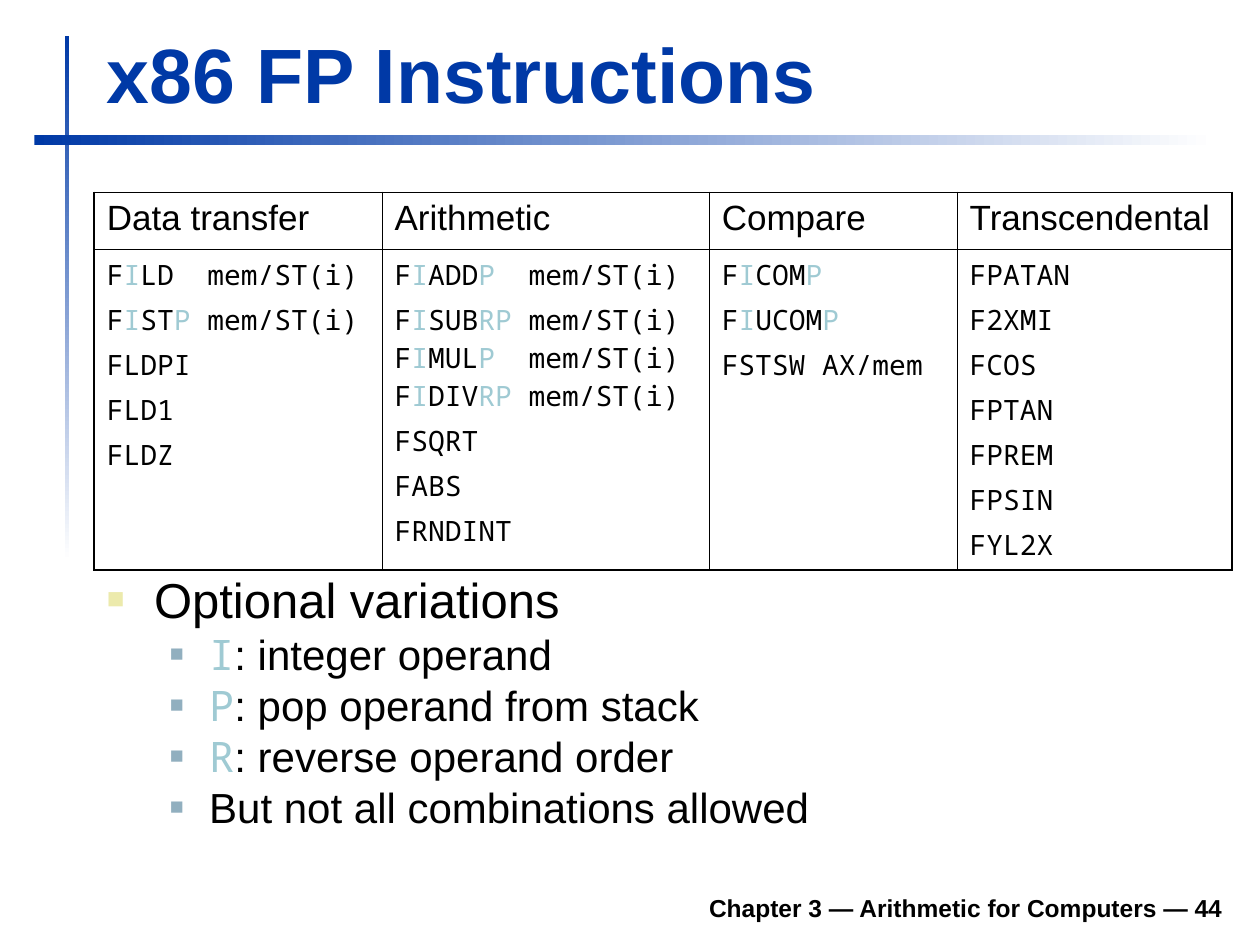
from typing import NamedTuple

from lxml.etree import SubElement as Sub
from pptx import Presentation
from pptx.dml.color import RGBColor
from pptx.enum.shapes import MSO_SHAPE as Kind
from pptx.enum.text import MSO_ANCHOR as Anchor, PP_ALIGN as Align
from pptx.oxml.ns import qn
from pptx.util import Pt

BLUE, BLACK, WHITE, TEAL = "0039A6", "000000", "FFFFFF", "9FCAD3"
SANS, MONO = "Arial", "Noto Sans Mono"


class Bar(NamedTuple):
    left: float
    top: float
    width: float
    height: float
    angle: int


class Bullet(NamedTuple):
    level: int
    size: int
    left: float
    hang: float
    color: str
    scale: int
    before: int


class Column(NamedTuple):
    head: str
    width: float
    codes: list[str]


# Square brackets mark the optional letters
BARS = [Bar(37, 20.4, 2.6, 300, 270), Bar(19.7, 77, 674.6, 5.8, 0)]
MAIN = Bullet(0, 28, 27, 27, "ECEAAC", 60, 7)
ITEM = Bullet(1, 24, 58.5, 22.5, "91AFBF", 55, 6)
NOTES = [
    (MAIN, "Optional variations"),
    (ITEM, "[I]: integer operand"),
    (ITEM, "[P]: pop operand from stack"),
    (ITEM, "[R]: reverse operand order"),
    (ITEM, "But not all combinations allowed"),
]
ROWS = (32.4, 183.4)
COLUMNS = [
    Column("Data transfer", 164.4, [
        "F[I]LD  mem/ST(i)", "F[I]ST[P] mem/ST(i)", "FLDPI", "FLD1", "FLDZ"]),
    Column("Arithmetic", 187, [
        "F[I]ADD[P]  mem/ST(i)",
        "F[I]SUB[RP] mem/ST(i) F[I]MUL[P]  mem/ST(i) F[I]DIV[RP] mem/ST(i)",
        "FSQRT", "FABS", "FRNDINT"]),
    Column("Compare", 141.7, ["F[I]COM[P]", "F[I]UCOM[P]", "FSTSW AX/mem"]),
    Column("Transcendental", 157, [
        "FPATAN", "F2XMI", "FCOS", "FPTAN", "FPREM", "FPSIN", "FYL2X"]),
]


def paint(code: str) -> RGBColor:
    return RGBColor.from_string(code)


def write(par, text: str, *, size: float, font: str = SANS, color: str = BLACK,
          bold: bool = False, align=Align.LEFT, before: float = 0) -> None:
    par.alignment = align
    par.space_before = Pt(before)
    for i, part in enumerate(text.replace("]", "[").split("[")):
        if part:
            run = par.add_run()
            run.text = part
            run.font.size, run.font.bold = Pt(size), bold
            run.font.name = MONO if i % 2 else font
            run.font.color.rgb = paint(TEAL if i % 2 else color)


def add_box(slide, left: float, top: float, width: float, height: float, anchor):
    box = slide.shapes.add_textbox(Pt(left), Pt(top), Pt(width), Pt(height))
    frame = box.text_frame
    frame.word_wrap = True
    frame.vertical_anchor = anchor
    return frame


def next_par(frame, index: int):
    return frame.add_paragraph() if index else frame.paragraphs[0]


def add_bar(slide, bar: Bar) -> None:
    shape = slide.shapes.add_shape(Kind.RECTANGLE, *map(Pt, bar[:4]))
    shape.shadow.inherit = False
    shape.line.fill.background()
    shape.fill.gradient()
    shape.fill.gradient_angle = bar.angle
    for stop, color in zip(shape.fill.gradient_stops, (BLUE, WHITE)):
        stop.color.rgb = paint(color)


def add_mark(par, kind: Bullet) -> None:
    par.level = kind.level
    par.line_spacing = 0.8
    props = par._p.get_or_add_pPr()
    props.set("marL", str(Pt(kind.left)))
    props.set("indent", str(-Pt(kind.hang)))
    Sub(Sub(props, qn("a:buClr")), qn("a:srgbClr"), val=kind.color)
    Sub(props, qn("a:buSzPct"), val=str(kind.scale * 1000))
    Sub(props, qn("a:buFont"), typeface=SANS)
    Sub(props, qn("a:buChar"), char="■")


def add_edges(cell, row: int, col: int) -> None:
    last = len(COLUMNS) - 1
    edges = {
        "lnL": 0.45 if col else 1.08,
        "lnR": 0.45 if col < last else 1.08,
        "lnT": 0.75 if row else 1.08,
        "lnB": 1.08 if row else 0.75,
    }
    props = cell._tc.get_or_add_tcPr()
    for tag, width in edges.items():
        line = Sub(props, qn(f"a:{tag}"), w=str(Pt(width)))
        Sub(Sub(line, qn("a:solidFill")), qn("a:srgbClr"), val=BLACK)


def add_grid(slide) -> None:
    total = sum(col.width for col in COLUMNS)
    frame = slide.shapes.add_table(len(ROWS), len(COLUMNS), Pt(53.9), Pt(110),
                                   Pt(total), Pt(sum(ROWS)))
    table = frame.table
    table.first_row = table.horz_banding = False
    for row, height in zip(table.rows, ROWS):
        row.height = Pt(height)
    for c, col in enumerate(COLUMNS):
        table.columns[c].width = Pt(col.width)
        for r in range(len(ROWS)):
            cell = table.cell(r, c)
            add_edges(cell, r, c)
            cell.fill.background()
        write(table.cell(0, c).text_frame.paragraphs[0], col.head, size=20)
        text = table.cell(1, c).text_frame
        for i, code in enumerate(col.codes):
            write(next_par(text, i), code, size=16, font=MONO, before=4 if i else 0)


def main() -> None:
    deck = Presentation()
    deck.slide_width, deck.slide_height = Pt(720), Pt(540)
    slide = deck.slides.add_slide(deck.slide_layouts[6])

    # Crossing rules
    for bar in BARS:
        add_bar(slide, bar)

    # Footer and title
    foot = add_box(slide, 133.4, 502.6, 572.4, 28, Anchor.BOTTOM)
    write(foot.paragraphs[0], "Chapter 3 — Arithmetic for Computers — 44",
          size=14, bold=True, align=Align.RIGHT)
    title = add_box(slide, 54, 11.5, 650, 60, Anchor.BOTTOM)
    write(title.paragraphs[0], "x86 FP Instructions", size=44, color=BLUE, bold=True)

    # Bulleted notes
    body = add_box(slide, 54, 328.4, 651, 162.7, Anchor.TOP)
    for i, (kind, text) in enumerate(NOTES):
        par = next_par(body, i)
        add_mark(par, kind)
        write(par, text, size=kind.size, before=kind.before if i else 0)

    # Instruction table
    add_grid(slide)
    deck.save("out.pptx")


if __name__ == "__main__":
    main()
